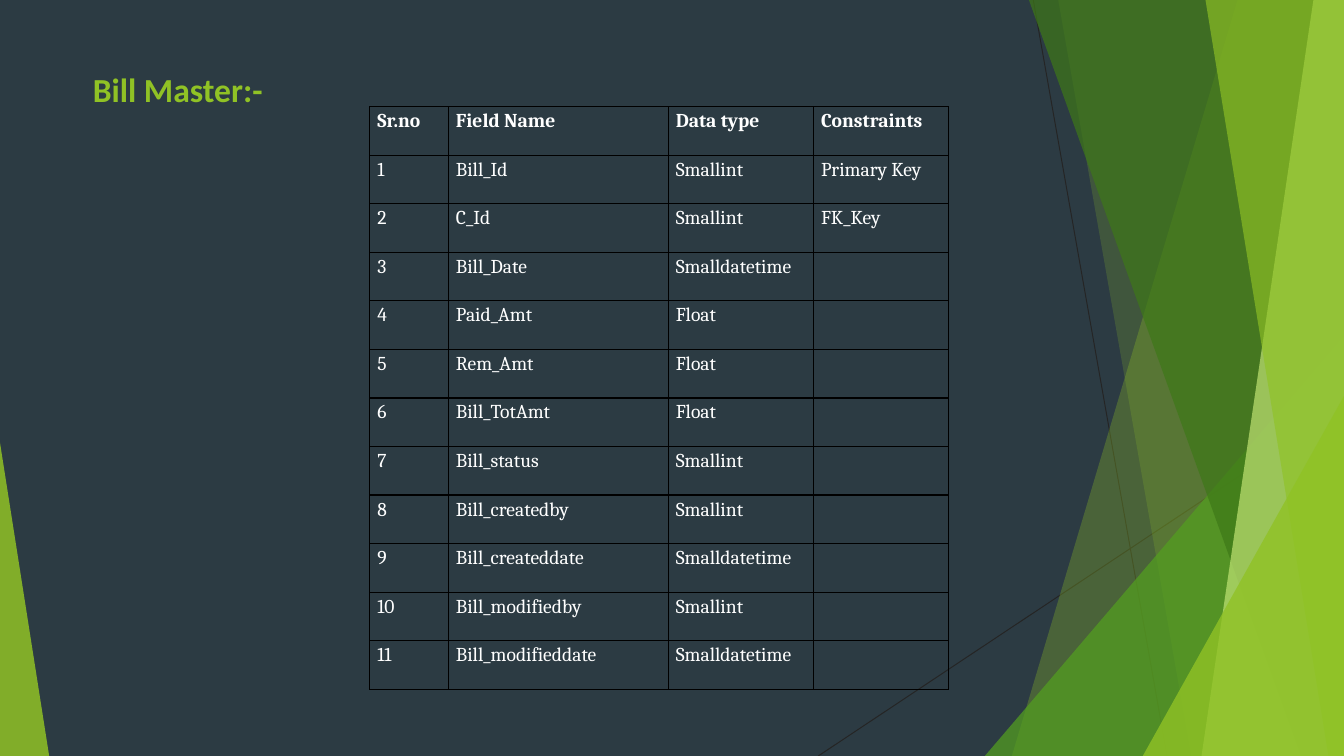
from lxml import etree
from pptx import Presentation
from pptx.dml.color import RGBColor
from pptx.enum.shapes import MSO_CONNECTOR
from pptx.enum.text import MSO_ANCHOR, MSO_AUTO_SIZE, PP_ALIGN
from pptx.oxml.ns import qn
from pptx.util import Cm, Pt

STRAIGHT = MSO_CONNECTOR.STRAIGHT
TOP = MSO_ANCHOR.TOP
LEFT = PP_ALIGN.LEFT
FIT_SHAPE = MSO_AUTO_SIZE.SHAPE_TO_FIT_TEXT

SLATE = RGBColor(0x2C, 0x3B, 0x43)
CHARCOAL = RGBColor(0x25, 0x25, 0x25)
LIME = RGBColor(0x90, 0xC2, 0x25)
GREEN = RGBColor(0x53, 0x9F, 0x20)
FOREST = RGBColor(0x3E, 0x78, 0x18)
PALE = RGBColor(0xC0, 0xE3, 0x74)
WHITE = RGBColor(0xFF, 0xFF, 0xFF)
BLACK = RGBColor(0, 0, 0)

W, H = 33.87, 19.05
COLUMN_WIDTHS = [1.98, 5.54, 3.66, 3.4]
HEADERS = ["Sr.no", "Field Name", "Data type", "Constraints"]
FIELDS = [
    ("Bill_Id", "Smallint", "Primary Key"),
    ("C_Id", "Smallint", "FK_Key"),
    ("Bill_Date", "Smalldatetime", ""),
    ("Paid_Amt", "Float", ""),
    ("Rem_Amt", "Float", ""),
    ("Bill_TotAmt", "Float", ""),
    ("Bill_status", "Smallint", ""),
    ("Bill_createdby", "Smallint", ""),
    ("Bill_createddate", "Smalldatetime", ""),
    ("Bill_modifiedby", "Smallint", ""),
    ("Bill_modifieddate", "Smalldatetime", ""),
]


def add_facet(s, points, color, alpha):
    start, *rest = [(Cm(x), Cm(y)) for x, y in points]
    builder = s.shapes.build_freeform(*start)
    builder.add_line_segments(rest, close=True)
    sp = builder.convert_to_shape()
    sp.shadow.inherit = False
    sp.fill.solid()
    sp.fill.fore_color.rgb = color
    sp.line.fill.background()
    clr = sp.fill._xPr.find(qn("a:solidFill"))[0]
    etree.SubElement(clr, qn("a:alpha"), val=str(alpha * 1000))


def add_hairline(s, x1, y1, x2, y2):
    line = s.shapes.add_connector(STRAIGHT, Cm(x1), Cm(y1), Cm(x2), Cm(y2))
    line.line.color.rgb = CHARCOAL
    line.line.width = Pt(0.72)
    etree.SubElement(line._element.spPr, qn("a:effectLst"))


def add_backdrop(s, left, top, width, height):
    right, bottom = left + width, top + height
    s.background.fill.solid()
    s.background.fill.fore_color.rgb = SLATE
    add_hairline(s, left + 26.04, top, left + 29.41, bottom)
    add_hairline(s, right, top + 10.24, left + 20.62, bottom)

    def band(x_top, x_bottom):
        return [(right, top), (left + x_top, top), (left + x_bottom, bottom), (right, bottom)]

    def corner(y, x):
        return [(right, top + y), (left + x, bottom), (right, bottom)]

    facets = [
        (band(31.19, 25.5), LIME, 30),
        (band(26.67, 30.02), LIME, 20),
        (corner(8.46, 24.82), GREEN, 72),
        (band(25.93, 32.79), FOREST, 70),
        (band(33.1, 30.28), PALE, 70),
        (band(30.38, 33.48), LIME, 65),
        (corner(9.98, 28.8), LIME, 80),
        ([(left, top + 11.15), (left, bottom), (left + 1.24, bottom)], LIME, 85),
    ]
    for points, color, alpha in facets:
        add_facet(s, points, color, alpha)


def add_title(s, left, top, width, height):
    title = s.shapes.title
    title.left, title.top, title.width, title.height = map(Cm, (left, top, width, height))
    tf = title.text_frame
    tf.margin_left = tf.margin_right = tf.margin_top = tf.margin_bottom = 0
    tf.vertical_anchor = TOP
    tf.word_wrap = True
    tf.auto_size = FIT_SHAPE
    tf.text = "Bill Master:-"
    p = tf.paragraphs[0]
    p.alignment = LEFT
    font = p.runs[0].font
    font.name, font.size, font.bold = "Calibri", Pt(24), True
    font.color.rgb = LIME


def format_cell(cell, text, bold):
    cell.margin_left = cell.margin_right = Cm(0.19)
    cell.margin_top = cell.margin_bottom = 0
    tcPr = cell._tc.get_or_add_tcPr()
    for side in ("lnL", "lnR", "lnT", "lnB"):
        ln = etree.SubElement(tcPr, qn(f"a:{side}"), w=str(Pt(1)))
        fill = etree.SubElement(ln, qn("a:solidFill"))
        etree.SubElement(fill, qn("a:srgbClr"), val=str(BLACK))
    cell.fill.background()
    cell.text_frame.text = text
    p = cell.text_frame.paragraphs[0]
    p.line_spacing = 1.15
    p.font.size = Pt(14)
    for r in p.runs:
        r.font.name, r.font.size, r.font.bold = "Cambria", Pt(14), bold
        r.font.color.rgb = WHITE


def add_field_table(s, left, top, width, height):
    rows = [HEADERS] + [(str(n), *field) for n, field in enumerate(FIELDS, 1)]
    table = s.shapes.add_table(
        len(rows), len(HEADERS), Cm(left), Cm(top), Cm(width), Cm(height)
    ).table
    table.horz_banding = False
    for column, column_width in zip(table.columns, COLUMN_WIDTHS):
        column.width = Cm(column_width)
    for i, row in enumerate(rows):
        for j, text in enumerate(row):
            format_cell(table.cell(i, j), text, i == 0)


def main():
    prs = Presentation()
    prs.slide_width, prs.slide_height = Cm(W), Cm(H)
    s = prs.slides.add_slide(prs.slide_layouts[5])
    add_backdrop(s, 0, 0, W, H)
    add_title(s, 2.34, 1.73, 12.7, 1.02)
    add_field_table(s, 9.32, 2.69, sum(COLUMN_WIDTHS), 14.68)
    prs.save("out.pptx")


if __name__ == "__main__":
    main()
